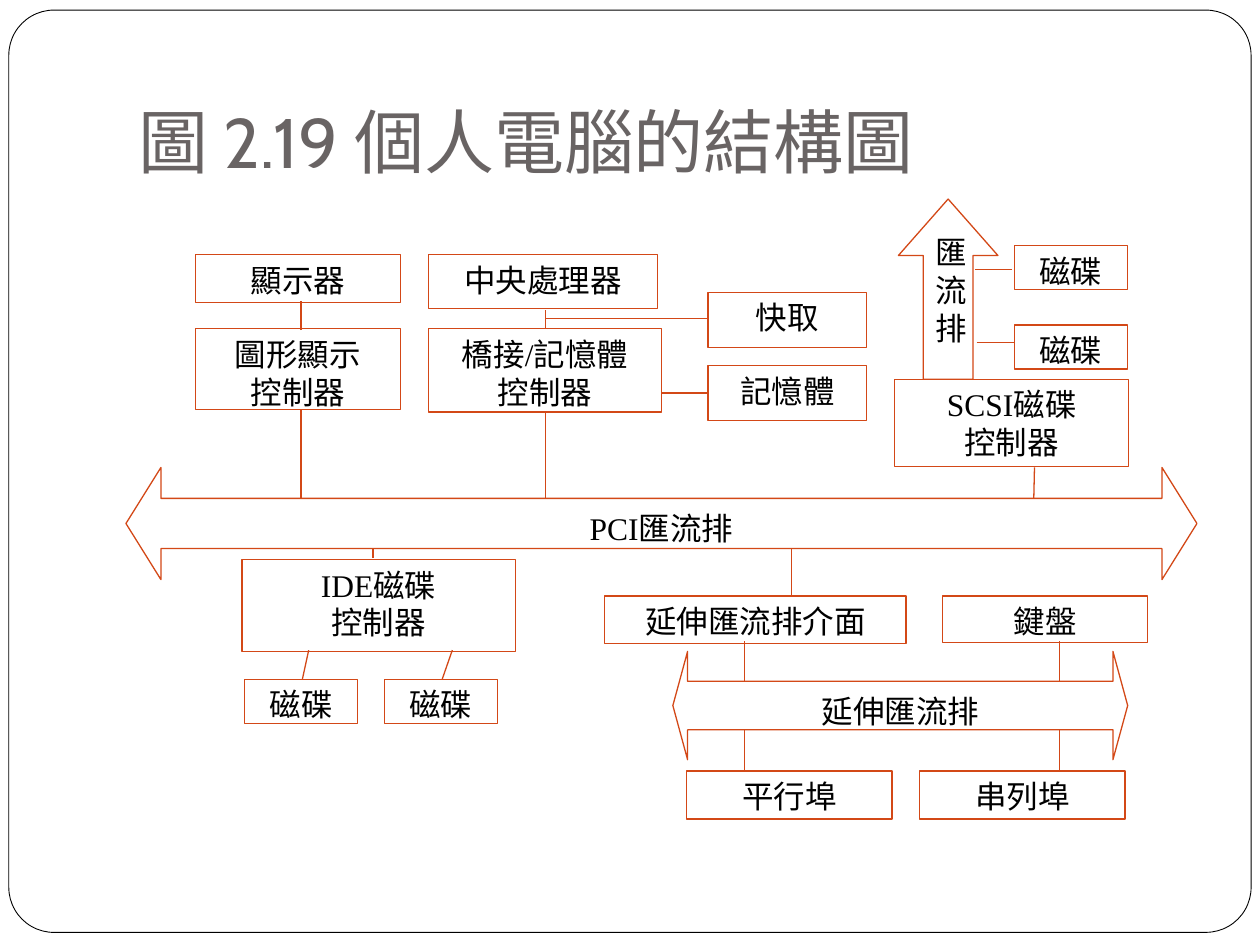
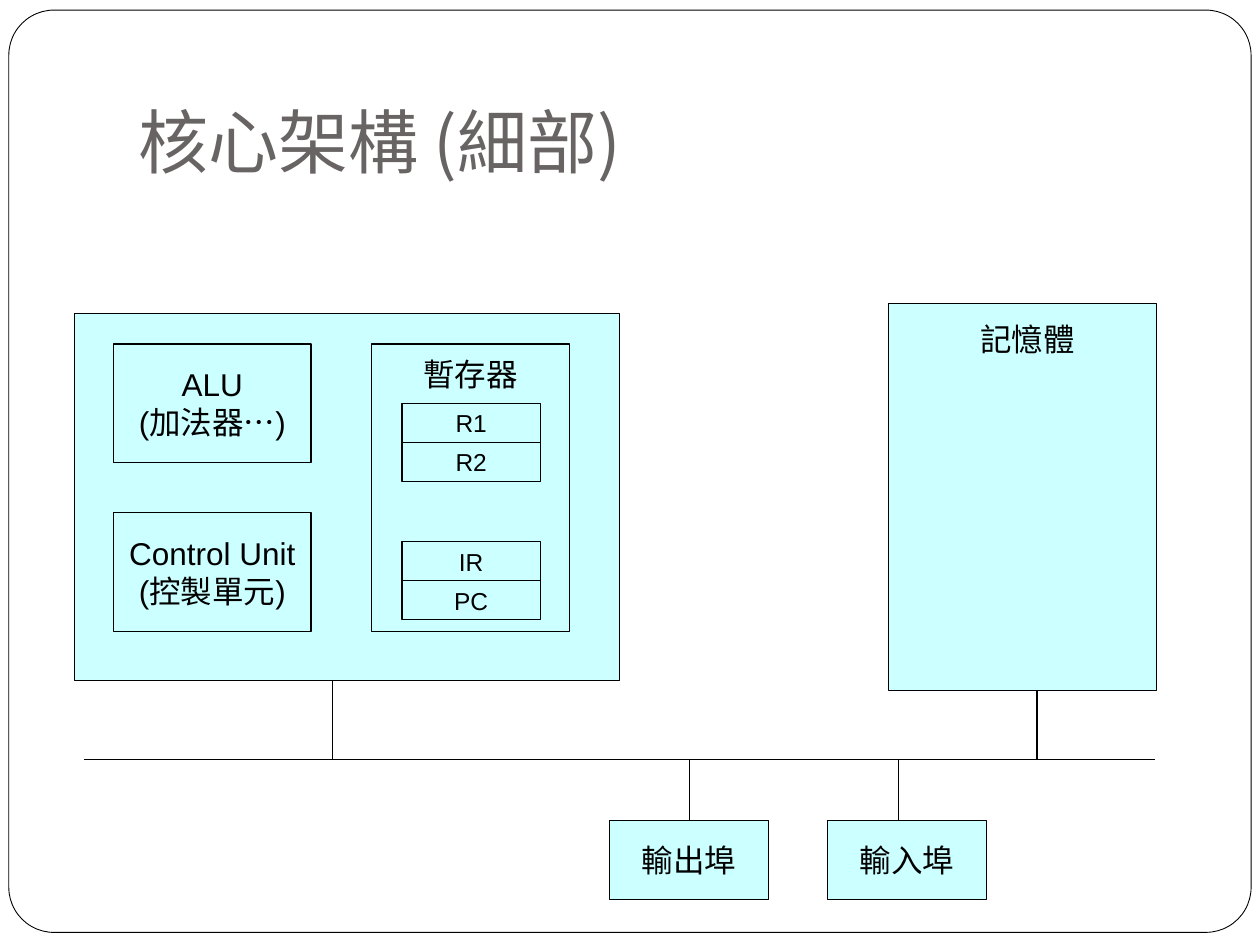
"""Builds two slides on the structure of a personal computer and its core."""
from lxml import etree
from pptx import Presentation
from pptx import util as u
from pptx.dml.color import RGBColor
from pptx.enum import shapes, text
from pptx.oxml.ns import qn

ORANGE = RGBColor(0xD3, 0x48, 0x17)
BLACK = RGBColor(0, 0, 0)
WHITE = RGBColor(0xFF, 0xFF, 0xFF)
GREY = RGBColor(0x69, 0x64, 0x64)
CYAN = RGBColor(0xCC, 0xFF, 0xFF)
ASIAN_FONT = "Noto Sans CJK SC"
KIND = shapes.MSO_SHAPE
TOP, MIDDLE, BOTTOM = (text.MSO_ANCHOR.TOP, text.MSO_ANCHOR.MIDDLE,
                       text.MSO_ANCHOR.BOTTOM)
CENTER, LEFT = text.PP_ALIGN.CENTER, text.PP_ALIGN.LEFT

TITLE_AREA = (1, 0.3, 8.5, 1.25)
FRAME_AREA = (0.07, 0.08, 9.86, 7.32)

PC_TITLE = "圖 2.19 個人電腦的結構圖"
PC_PARTS = [
    ("圖形顯示\v控制器", (1.55, 2.61, 1.63, 0.64)),
    ("顯示器", (1.55, 2.02, 1.63, 0.38)),
    ("橋接/記憶體\n控制器", (3.4, 2.61, 1.85, 0.66)),
    ("中央處理器", (3.4, 2.02, 1.82, 0.43)),
    ("快取", (5.62, 2.32, 1.26, 0.44)),
    ("IDE磁碟\v控制器", (1.92, 4.44, 2.17, 0.73)),
    ("記憶體", (5.62, 2.9, 1.26, 0.44)),
    ("SCSI磁碟\v控制器", (7.1, 3.01, 1.86, 0.69)),
    ("延伸匯流排介面", (4.8, 4.73, 2.39, 0.38)),
    ("鍵盤", (7.48, 4.73, 1.63, 0.37)),
    ("平行埠", (5.45, 6.12, 1.63, 0.38)),
    ("串列埠", (7.3, 6.12, 1.63, 0.38)),
]
DISK_CORNERS = [(8.05, 1.95), (8.05, 2.58), (1.94, 5.39), (3.05, 5.39)]
DISK_SIZE = (0.9, 0.35)
SCSI_BUS = ("匯流排", (7.13, 1.58, 0.79, 1.43), (0.5, 0.568))
WIDE_BUSES = [
    ("PCI匯流排", (1, 3.71, 8.5, 0.89), (0.448, 0.312)),
    ("延伸匯流排", (5.34, 5.17, 3.61, 0.86), (0.448, 0.136)),
]
PC_WIRES = [
    (2.39, 2.62, 2.39, 2.39), (4.33, 2.61, 4.33, 2.46),
    (4.33, 2.53, 5.62, 2.53), (2.45, 5.16, 2.4, 5.39),
    (3.59, 5.16, 3.51, 5.39), (7.74, 2.14, 8.03, 2.14),
    (7.75, 2.72, 8.05, 2.72), (4.33, 3.27, 4.33, 4.14),
    (5.25, 3.12, 5.62, 3.12), (2.39, 3.25, 2.39, 4.14),
    (2.4, 4.14, 4.53, 4.14), (2.96, 4.43, 2.96, 4.14),
    (6.28, 4.14, 6.28, 4.73), (5.91, 5.09, 5.91, 6.12),
    (8.41, 5.09, 8.41, 6.12), (5.9, 5.61, 6.27, 5.61),
    (8.02, 5.61, 8.39, 5.61),
]
SCSI_WIRE = [(5.99, 4.16), (8.2, 4.16), (8.21, 3.71)]

CORE_TITLE = "核心架構 (細部)"
CORE_PARTS = [
    ("", (0.59, 2.49, 4.33, 2.91)),
    ("ALU\n(加法器…)", (0.9, 2.73, 1.57, 0.94)),
    ("Control Unit\n(控製單元)", (0.9, 4.07, 1.57, 0.94)),
    ("", (7.05, 2.41, 2.13, 3.07)),
    ("輸出埠", (4.84, 6.51, 1.26, 0.63)),
    ("輸入埠", (6.57, 6.51, 1.26, 0.63)),
]
REGISTER_BANK = ("暫存器", (2.95, 2.73, 1.57, 2.28))
MEMORY_LABEL = ("記憶體", (7.68, 2.49, 0.95, 0.4))
REGISTER_PAIRS = [(3.2, ("R1", "R2")), (4.3, ("IR", "PC"))]
REGISTER_LEFT, REGISTER_WIDTH, REGISTER_HEIGHT = 3.19, 1.1, 0.31
BUS_Y = 6.03
CORE_WIRES = [(0.67, BUS_Y, 9.17, BUS_Y)] + [
    (x, BUS_Y, x, end) for x, end in
    [(2.64, 5.4), (8.23, 5.48), (7.13, 6.51), (5.47, 6.51)]]

PC_TEXT = {"name": "Times New Roman", "size": u.Pt(18)}
CORE_TEXT = {"name": "Arial", "size": u.Pt(18)}
REGISTER_TEXT = {"name": "Arial", "size": u.Pt(14)}
CORE_FRAME = {"vertical_anchor": MIDDLE, "word_wrap": False}


def inches(values):
    return [u.Inches(value) for value in values]


def write(box, words, font, align=CENTER, spacing=None, **frame_format):
    frame = box.text_frame
    settings = {"vertical_anchor": TOP, "word_wrap": True,
                "margin_left": u.Inches(0.1), "margin_right": u.Inches(0.1),
                "margin_top": u.Inches(0.05), "margin_bottom": u.Inches(0.05)}
    for key, value in (settings | frame_format).items():
        setattr(frame, key, value)
    frame.text = words
    for para in frame.paragraphs:
        para.alignment = align
        if spacing:
            para.line_spacing = spacing
        for span in para.runs:
            span.font.color.rgb = font.get("color", BLACK)
            for key in ("name", "size"):
                setattr(span.font, key, font[key])
            asian = etree.SubElement(span.font._element, qn("a:ea"))
            asian.set("typeface", ASIAN_FONT)


def paint(shape, color, fill=None, width=0.75):
    shape.shadow.inherit = False
    shape.line.color.rgb = color
    shape.line.width = u.Pt(width)
    if fill is None:
        shape.fill.background()
    else:
        shape.fill.solid()
        shape.fill.fore_color.rgb = fill


def add_shape(page, kind, area, color, fill=None, adjust=(), width=0.75):
    shape = page.shapes.add_shape(kind, *inches(area))
    for index, value in enumerate(adjust):
        shape.adjustments[index] = value
    paint(shape, color, fill, width)
    return shape


def add_wires(page, wires, color):
    for ends in wires:
        wire = page.shapes.add_connector(
            shapes.MSO_CONNECTOR.STRAIGHT, *inches(ends))
        wire.line.color.rgb = color
        wire.line.width = u.Pt(0.75)
        etree.SubElement(wire._element.spPr, qn("a:effectLst"))


def add_page(deck, title, font_name):
    page = deck.slides.add_slide(deck.slide_layouts[6])
    add_shape(page, KIND.ROUNDED_RECTANGLE, FRAME_AREA, BLACK, WHITE,
              (0.049,), 0.5)
    box = page.shapes.add_textbox(*inches(TITLE_AREA))
    write(box, title, {"name": font_name, "size": u.Pt(40), "color": GREY},
          LEFT, vertical_anchor=BOTTOM, margin_bottom=u.Inches(0.1))
    return page


def build_pc_page(deck):
    page = add_page(deck, PC_TITLE, "Cabin")
    disks = [("磁碟", corner + DISK_SIZE) for corner in DISK_CORNERS]
    for words, area in PC_PARTS + disks:
        write(add_shape(page, KIND.RECTANGLE, area, ORANGE), words, PC_TEXT)
    words, area, adjust = SCSI_BUS
    bus = add_shape(page, KIND.UP_ARROW, area, ORANGE, adjust=adjust)
    write(bus, words, PC_TEXT)
    add_wires(page, PC_WIRES, ORANGE)
    start, *corners = [tuple(inches(point)) for point in SCSI_WIRE]
    builder = page.shapes.build_freeform(*start)
    builder.add_line_segments(corners, close=False)
    paint(builder.convert_to_shape(), ORANGE)
    for words, area, adjust in WIDE_BUSES:
        bus = add_shape(page, KIND.LEFT_RIGHT_ARROW, area, ORANGE, WHITE,
                        adjust)
        write(bus, words, PC_TEXT, spacing=1.12)


def build_core_page(deck):
    page = add_page(deck, CORE_TITLE, ASIAN_FONT)
    for words, area in CORE_PARTS:
        part = add_shape(page, KIND.RECTANGLE, area, BLACK, CYAN)
        if words:
            write(part, words, CORE_TEXT, **CORE_FRAME)
    words, area = REGISTER_BANK
    bank = add_shape(page, KIND.RECTANGLE, area, BLACK, CYAN)
    write(bank, words, CORE_TEXT, word_wrap=False, margin_top=u.Inches(0.09))
    words, area = MEMORY_LABEL
    label = page.shapes.add_textbox(*inches(area))
    write(label, words, CORE_TEXT, LEFT, word_wrap=False)
    for top, names in REGISTER_PAIRS:
        for row, name in enumerate(names):
            area = (REGISTER_LEFT, top + row * REGISTER_HEIGHT,
                    REGISTER_WIDTH, REGISTER_HEIGHT)
            register = add_shape(page, KIND.RECTANGLE, area, BLACK, CYAN)
            write(register, name, REGISTER_TEXT, **CORE_FRAME)
    add_wires(page, CORE_WIRES, BLACK)


def main():
    deck = Presentation()
    deck.slide_width, deck.slide_height = inches((10, 7.5))
    build_pc_page(deck)
    build_core_page(deck)
    deck.save("out.pptx")


if __name__ == "__main__":
    main()
